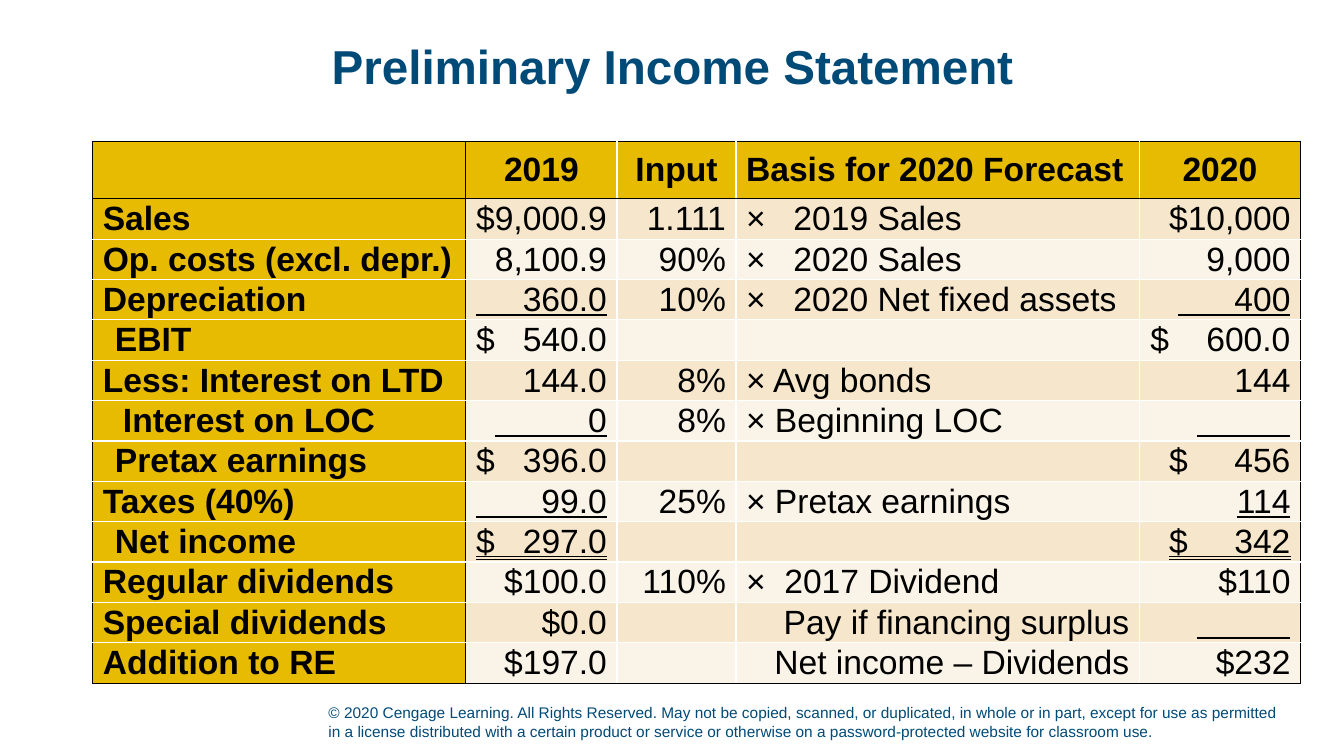
from dataclasses import dataclass

from pptx import Presentation
from pptx.dml.color import RGBColor
from pptx.enum.text import MSO_ANCHOR, MSO_UNDERLINE, PP_ALIGN
from pptx.oxml.ns import qn
from pptx.util import Inches, Pt
from lxml import etree

LEFT, CENTER, RIGHT = PP_ALIGN.LEFT, PP_ALIGN.CENTER, PP_ALIGN.RIGHT
MIDDLE, BOTTOM = MSO_ANCHOR.MIDDLE, MSO_ANCHOR.BOTTOM
SINGLE, DOUBLE = MSO_UNDERLINE.SINGLE_LINE, MSO_UNDERLINE.DOUBLE_LINE
SLIDE_WIDTH, SLIDE_HEIGHT = Inches(13.33), Inches(7.5)
COLUMN_INCHES = (3.7, 1.5, 1.18, 4, 1.6)
HEADER_INCHES, ROW_INCHES = 0.57, 0.38
HARD_SPACE = chr(160)


@dataclass(frozen=True)
class Theme:
    font: str = "Arial"
    title_size: int = 34
    table_size: int = 24
    footer_size: int = 11
    accent: str = "004A78"
    text: str = "000000"
    gold: str = "E7BB01"
    bands: tuple = ("F6E7CC", "FAF3E7")
    outer_line: str = "000000"
    inner_line: str = "FFFFFF"


THEME = Theme()


@dataclass(frozen=True)
class Entry:
    text: str = ""
    underline: object = None
    first_indent: float = 0
    left_margin: float = 0
    tab_stop: float = 0
    align: object = None


def figure(amount, gap=0, currency="", underline=None):
    """An amount set off from its currency sign, or on a total rule."""
    return Entry(currency + HARD_SPACE * gap + amount, underline)


def factor(basis, tab_stop):
    return Entry("×\t" + basis, tab_stop=tab_stop)


def subtotal(label):
    return Entry(label, first_indent=0.12)


BLANK = Entry()
BLANK_RULE = figure("", 10, underline=SINGLE)
HEADINGS = ("", "2019", "Input", "Basis for 2020 Forecast", "2020")
HEADING_ALIGNS = (LEFT, CENTER, CENTER, LEFT, CENTER)
BODY_ALIGNS = (LEFT, RIGHT, RIGHT, LEFT, RIGHT)
STATEMENT = (
    ("Sales", "$9,000.9", "1.111", factor("2019 Sales", 0.47), "$10,000"),
    ("Op. costs (excl. depr.)", "8,100.9", "90%", factor("2020 Sales", 0.47), "9,000"),
    ("Depreciation", figure("360.0", 5, underline=SINGLE), "10%",
     factor("2020 Net fixed assets", 0.47), figure("400", 6, underline=SINGLE)),
    (subtotal("EBIT"), figure("540.0", 3, "$"), BLANK, BLANK, figure("600.0", 4, "$")),
    ("Less: Interest on LTD", "144.0", "8%", "× Avg bonds", "144"),
    (Entry("Interest on LOC", left_margin=0.2), figure("0", 10, underline=SINGLE),
     "8%", "× Beginning LOC", BLANK_RULE),
    (subtotal("Pretax earnings"), figure("396.0", 3, "$"), BLANK, BLANK,
     figure("456", 5, "$")),
    ("Taxes (40%)", figure("99.0", 7, underline=SINGLE), "25%", "× Pretax earnings",
     figure("114", underline=SINGLE)),
    (subtotal("Net income"), figure("297.0", 3, "$", DOUBLE), BLANK, BLANK,
     figure("342", 5, "$", DOUBLE)),
    ("Regular dividends", "$100.0", "110%", factor("2017 Dividend", 0.38), "$110"),
    ("Special dividends", "$0.0", BLANK, Entry("Pay if financing surplus", align=RIGHT),
     BLANK_RULE),
    ("Addition to RE", "$197.0", BLANK, Entry("Net income – Dividends", align=RIGHT),
     "$232"),
)
COPYRIGHT = (
    "© 2020 Cengage Learning. All Rights Reserved. May not be copied, scanned, or "
    "duplicated, in whole or in part, except for use as permitted in a license "
    "distributed with a certain product or service or otherwise on a "
    "password-protected website for classroom use."
)


def add_run(paragraph, text, size, color, bold=False, underline=None):
    run = paragraph.add_run()
    run.text = text
    run.font.name = THEME.font
    run.font.size = Pt(size)
    run.font.bold = bold
    run.font.color.rgb = RGBColor.from_string(color)
    if underline is not None:
        run.font.underline = underline


def add_text(slide, shares, text, size, anchor, align=LEFT, bold=False):
    """Text box placed by shares of the slide's width and height."""
    left, top, width, height = shares
    box = slide.shapes.add_textbox(
        int(left * SLIDE_WIDTH), int(top * SLIDE_HEIGHT),
        int(width * SLIDE_WIDTH), int(height * SLIDE_HEIGHT))
    frame = box.text_frame
    frame.word_wrap = True
    frame.vertical_anchor = anchor
    paragraph = frame.paragraphs[0]
    paragraph.alignment = align
    add_run(paragraph, text, size, THEME.accent, bold)


def set_paragraph_layout(paragraph, entry):
    properties = paragraph._p.get_or_add_pPr()
    if entry.left_margin or entry.first_indent:
        properties.set("marL", str(Inches(entry.left_margin)))
        properties.set("indent", str(Inches(entry.first_indent)))
    if entry.tab_stop:
        tabs = etree.SubElement(properties, qn("a:tabLst"))
        etree.SubElement(tabs, qn("a:tab"), pos=str(Inches(entry.tab_stop)), algn="l")


def set_borders(cell, row, column, last_row, last_column):
    """Dark frame, header rule and label rule; light lines elsewhere."""
    dark_sides = {
        "L": column <= 1,
        "R": column in (0, last_column),
        "T": row <= 1,
        "B": row in (0, last_row),
    }
    properties = cell._tc.get_or_add_tcPr()
    for position, (side, dark) in enumerate(dark_sides.items()):
        line = etree.Element(qn("a:ln" + side), w=str(Pt(1)))
        fill = etree.SubElement(line, qn("a:solidFill"))
        color = THEME.outer_line if dark else THEME.inner_line
        etree.SubElement(fill, qn("a:srgbClr"), val=color)
        properties.insert(position, line)


def fill_cell(cell, entry, align, color, bold):
    cell.margin_left = cell.margin_right = Inches(0.1)
    cell.margin_top = cell.margin_bottom = 0
    cell.vertical_anchor = MIDDLE
    cell.fill.solid()
    cell.fill.fore_color.rgb = RGBColor.from_string(color)
    paragraph = cell.text_frame.paragraphs[0]
    paragraph.alignment = entry.align or align
    set_paragraph_layout(paragraph, entry)
    if entry.text:
        add_run(paragraph, entry.text, THEME.table_size, THEME.text, bold, entry.underline)


def add_statement(slide, left, top):
    rows = (HEADINGS,) + STATEMENT
    height = HEADER_INCHES + ROW_INCHES * len(STATEMENT)
    table = slide.shapes.add_table(
        len(rows), len(COLUMN_INCHES), int(left * SLIDE_WIDTH), int(top * SLIDE_HEIGHT),
        Inches(sum(COLUMN_INCHES)), Inches(height)).table
    table.horz_banding = False
    for column, width in zip(table.columns, COLUMN_INCHES):
        column.width = Inches(width)
    for row, values in enumerate(rows):
        table.rows[row].height = Inches(ROW_INCHES if row else HEADER_INCHES)
        aligns = BODY_ALIGNS if row else HEADING_ALIGNS
        for column, value in enumerate(values):
            entry = value if isinstance(value, Entry) else Entry(value)
            heading = row == 0 or column == 0
            color = THEME.gold if heading else THEME.bands[(row - 1) % 2]
            cell = table.cell(row, column)
            fill_cell(cell, entry, aligns[column], color, heading)
            set_borders(cell, row, column, len(rows) - 1, len(values) - 1)


def main():
    presentation = Presentation()
    presentation.slide_width, presentation.slide_height = SLIDE_WIDTH, SLIDE_HEIGHT
    slide = presentation.slides.add_slide(presentation.slide_layouts[6])

    # Footer, title and income statement
    add_text(slide, (0.237, 0.919, 0.722, 0.067), COPYRIGHT, THEME.footer_size, BOTTOM)
    add_text(slide, (0.069, 0.02, 0.863, 0.133), "Preliminary Income Statement",
             THEME.title_size, MIDDLE, CENTER, True)
    add_statement(slide, 0.069, 0.187)
    presentation.save("out.pptx")


if __name__ == "__main__":
    main()
